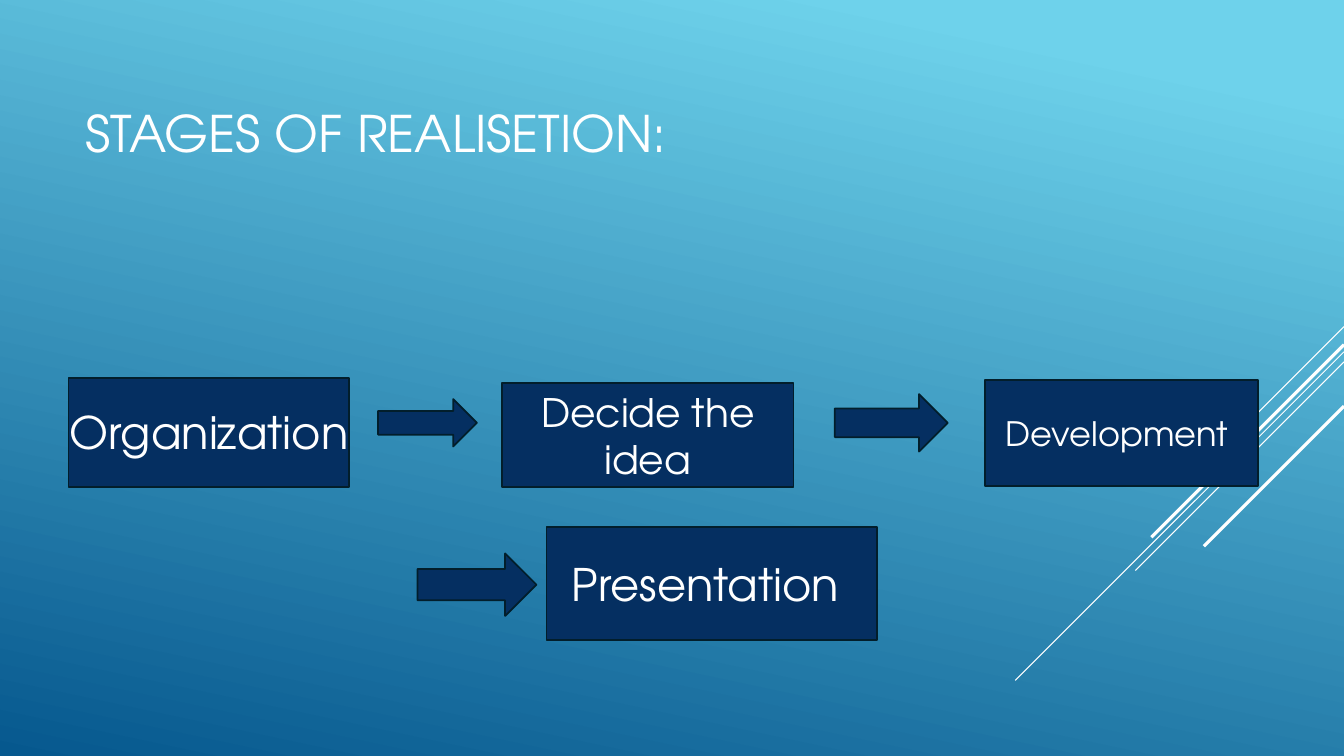
"""Build the slide that shows the stages of a project as boxes and arrows."""
import pptx
import pptx.util
import pptx.dml.color
import pptx.enum.shapes
import pptx.enum.text
import pptx.oxml.ns
import lxml.etree

Inches, Pt = pptx.util.Inches, pptx.util.Pt
Shape = pptx.enum.shapes.MSO_SHAPE
Align = pptx.enum.text.PP_ALIGN

THEME = {
    "font": "TeX Gyre Adventor",
    "text": "FFFFFF", "fill": "052F61", "edge": "021E2B", "ray": "FFFFFF",
    "back": [(0.1, "6ED2EB"), (1, "06588E")], "angle": 258,
    "title": 36, "large": 32, "mid": 28, "small": 24,
    "edge_w": 1.25, "thin": 0.75, "thick": 2.25,
}
WIDE, HIGH = 13.33, 7.5

RAYS = [
    (3.24, 1, "thin"),
    (3.49, 3.26, "thin"),
    (3.59, 2.07, "thin"),
    (3.42, 1.91, "thick"),
    (4.03, 1.39, "thick"),
]
BOXES = [
    ("", "large", (0.68, 3.75, 2.78, 1.08)),
    ("Decide the idea", "mid", (4.98, 3.8, 2.89, 1.03)),
    ("Development ", "small", (9.77, 3.77, 2.71, 1.05)),
    ("Presentation ", "large", (5.42, 5.23, 3.28, 1.12)),
]
ARROWS = [
    (3.75, 3.96, 0.98, 0.47),
    (8.28, 3.91, 1.12, 0.57),
    (4.14, 5.49, 1.18, 0.62),
]
LABELS = [
    ("STAGES OF REALISETION:", "title", (0.75, 0.49, 9.33, 1.65)),
    ("Organization", "large", (0.59, 2.31, 9.33, 3.95)),
]


def color(name):
    return pptx.dml.color.RGBColor.from_string(THEME.get(name, name))


def place(area):
    return [Inches(side) for side in area]


def write(shape, text, size, align):
    frame = shape.text_frame
    frame.text = text
    frame.word_wrap = True
    frame.vertical_anchor = pptx.enum.text.MSO_ANCHOR.MIDDLE
    for para in frame.paragraphs:
        para.alignment = align
        for run in para.runs:
            run.font.name = THEME["font"]
            run.font.size = Pt(THEME[size])
            run.font.color.rgb = color("text")


def add_block(slide, kind, area):
    block = slide.shapes.add_shape(kind, *place(area))
    block.shadow.inherit = False
    block.fill.solid()
    block.fill.fore_color.rgb = color("fill")
    block.line.color.rgb = color("edge")
    block.line.width = Pt(THEME["edge_w"])
    return block


def add_ray(slide, top, run, width):
    ends = place((WIDE, top, WIDE - run, top + run))
    ray = slide.shapes.add_connector(pptx.enum.shapes.MSO_CONNECTOR.STRAIGHT, *ends)
    ray.line.color.rgb = color("ray")
    ray.line.width = Pt(THEME[width])
    lxml.etree.SubElement(ray._element.spPr, pptx.oxml.ns.qn("a:effectLst"))


def paint(slide):
    fill = slide.background.fill
    fill.gradient()
    fill.gradient_angle = THEME["angle"]
    for stop, (spot, tint) in zip(fill.gradient_stops, THEME["back"]):
        stop.position = spot
        stop.color.rgb = color(tint)


def main():
    deck = pptx.Presentation()
    deck.slide_width, deck.slide_height = Inches(WIDE), Inches(HIGH)
    slide = deck.slides.add_slide(deck.slide_layouts[6])
    paint(slide)
    for ray in RAYS:
        add_ray(slide, *ray)
    for text, size, area in BOXES:
        box = add_block(slide, Shape.RECTANGLE, area)
        if text:
            write(box, text, size, Align.CENTER)
    for area in ARROWS:
        add_block(slide, Shape.RIGHT_ARROW, area)
    for text, size, area in LABELS:
        label = slide.shapes.add_textbox(*place(area))
        write(label, text, size, Align.LEFT)
    deck.save("out.pptx")


if __name__ == "__main__":
    main()
